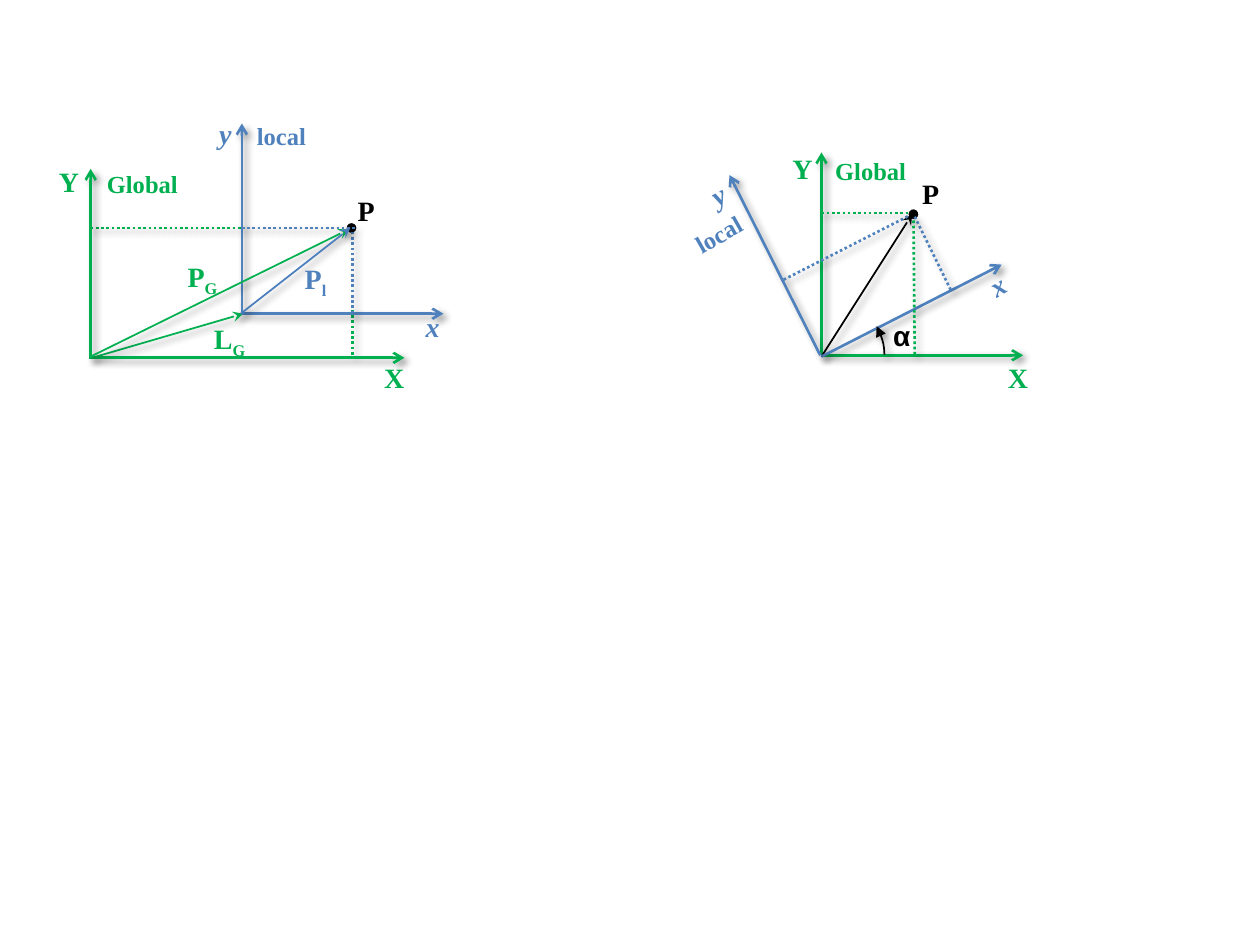
from lxml import etree
from pptx import Presentation
from pptx.dml.color import RGBColor
from pptx.enum.dml import MSO_LINE
from pptx.enum.shapes import MSO_CONNECTOR, MSO_SHAPE
from pptx.enum.text import MSO_AUTO_SIZE
from pptx.oxml import parse_xml
from pptx.oxml.ns import nsdecls, qn
from pptx.util import Inches, Pt

STRAIGHT = MSO_CONNECTOR.STRAIGHT
OVAL, ARC = MSO_SHAPE.OVAL, MSO_SHAPE.ARC
DOTS = MSO_LINE.ROUND_DOT
FIT = MSO_AUTO_SIZE.SHAPE_TO_FIT_TEXT

GREEN = RGBColor(0x00, 0xB0, 0x50)
BLUE = RGBColor(0x4F, 0x81, 0xBD)
VECTOR_BLUE = RGBColor(0x4B, 0x7E, 0xBC)
BLACK = RGBColor(0x00, 0x00, 0x00)
WHITE = RGBColor(0xFF, 0xFF, 0xFF)

SERIF, SANS = "Times New Roman", "Arial"
DOT_SIZE = 0.1
SHADOW = (
    f"<a:effectLst {nsdecls('a')}>"
    f'<a:outerShdw blurRad="{Pt(4)}" dist="{Pt(3)}" dir="2700000" rotWithShape="0">'
    '<a:srgbClr val="000000"><a:alpha val="40000"/></a:srgbClr>'
    "</a:outerShdw></a:effectLst>"
)


def style_stroke(item, color, width, end=None, arrow=None, dash=None):
    """Set line and shadow; end is headEnd or tailEnd, arrow its type."""
    item.line.color.rgb = color
    item.line.width = Pt(width)
    if dash:
        item.line.dash_style = dash
    properties = item._element.spPr
    if arrow:
        etree.SubElement(properties.find(qn("a:ln")), qn(f"a:{end}"), type=arrow)
    properties.append(parse_xml(SHADOW))


def add_line(page, box, start, finish, color, width=1.5, arrow=None, dash=None):
    left, top = box
    line = page.shapes.add_connector(
        STRAIGHT,
        Inches(left + start[0]), Inches(top + start[1]),
        Inches(left + finish[0]), Inches(top + finish[1]),
    )
    style_stroke(line, color, width, "tailEnd", arrow, dash)


def add_axis(page, box, start, finish, color):
    add_line(page, box, start, finish, color, arrow="arrow")


def add_vector(page, box, start, finish, color):
    add_line(page, box, start, finish, color, width=1, arrow="stealth")


def add_projection(page, box, start, finish, color):
    add_line(page, box, start, finish, color, dash=DOTS)


def add_point(page, box, x, y, rotation=0):
    left, top = box
    dot = page.shapes.add_shape(
        OVAL, Inches(left + x), Inches(top + y), Inches(DOT_SIZE), Inches(DOT_SIZE))
    dot.rotation = rotation
    dot.fill.solid()
    dot.fill.fore_color.rgb = BLACK
    dot.line.color.rgb = WHITE
    dot.line.width = Pt(1.5)
    dot.shadow.inherit = False


def add_angle(page, box, x, y, size):
    left, top = box
    arc = page.shapes.add_shape(
        ARC, Inches(left + x), Inches(top + y), Inches(size), Inches(size))
    arc.adjustments[0] = 198.71
    arc.adjustments[1] = 215
    arc.fill.background()
    style_stroke(arc, BLACK, 1, "headEnd", "triangle")


def add_label(page, box, at, text, color, subscript="", size=16,
              italic=False, rotation=0, font=SERIF):
    left, top = box
    x, y, width = at
    height = 0.37 if size == 16 else 0.34
    label = page.shapes.add_textbox(
        Inches(left + x), Inches(top + y), Inches(width), Inches(height))
    label.rotation = rotation
    frame = label.text_frame
    frame.word_wrap = False
    frame.auto_size = FIT
    para = frame.paragraphs[0]
    para.text = text
    if subscript:
        span = para.add_run()
        span.text = subscript
        span.font._element.set("baseline", "-25000")
    for span in para.runs:
        span.font.name = font
        span.font.size = Pt(size)
        span.font.bold = True
        if italic:
            span.font.italic = True
        span.font.color.rgb = color


def draw_translated_frames(page, left, top):
    box = (left, top)
    add_point(page, box, 2.44, 0.96)

    add_vector(page, box, (0.43, 2.04), (1.63, 1.69), GREEN)
    add_projection(page, box, (2.5, 1.66), (2.5, 2.03), GREEN)
    add_projection(page, box, (0.42, 1.01), (1.62, 1.01), GREEN)
    add_axis(page, box, (0.41, 2.04), (2.91, 2.04), GREEN)
    add_axis(page, box, (0.42, 2.04), (0.42, 0.54), GREEN)
    add_axis(page, box, (1.62, 1.69), (3.22, 1.69), BLUE)
    add_axis(page, box, (1.62, 1.68), (1.62, 0.18), BLUE)
    add_projection(page, box, (2.5, 1.04), (2.5, 1.69), BLUE)
    add_projection(page, box, (1.62, 1.01), (2.52, 1.01), BLUE)
    add_vector(page, box, (0.42, 2.03), (2.47, 1.02), GREEN)
    add_vector(page, box, (1.61, 1.69), (2.48, 1.01), VECTOR_BLUE)

    add_label(page, box, (1.34, 0.08, 0.3), "y", BLUE, italic=True)
    add_label(page, box, (2.98, 1.61, 0.31), "x", BLUE, italic=True)
    add_label(page, box, (0.07, 0.46, 0.36), "Y", GREEN)
    add_label(page, box, (2.65, 2.01, 0.36), "X", GREEN)
    add_label(page, box, (2.44, 0.69, 0.34), "P", BLACK)
    add_label(page, box, (1.09, 1.21, 0.45), "P", GREEN, "G")
    add_label(page, box, (2.02, 1.23, 0.38), "P", BLUE, "l")
    add_label(page, box, (1.3, 1.7, 0.47), "L", GREEN, "G")
    add_label(page, box, (0.45, 0.49, 0.77), "Global", GREEN, size=14)
    add_label(page, box, (1.64, 0.11, 0.59), "local", BLUE, size=14)


def draw_rotated_frames(page, left, top):
    box = (left, top)
    add_axis(page, box, (1.12, 1.72), (2.72, 1.72), GREEN)
    add_axis(page, box, (1.12, 1.71), (1.12, 0.11), GREEN)
    add_point(page, box, 1.8, 0.55, rotation=333.2)
    add_vector(page, box, (1.12, 1.73), (1.84, 0.6), BLACK)
    add_axis(page, box, (1.12, 1.73), (2.55, 1), BLUE)
    add_axis(page, box, (1.11, 1.72), (0.39, 0.29), BLUE)
    add_projection(page, box, (1.86, 0.62), (2.15, 1.21), BLUE)
    add_projection(page, box, (0.82, 1.12), (1.82, 0.61), BLUE)
    add_projection(page, box, (1.12, 0.59), (1.82, 0.59), GREEN)
    add_projection(page, box, (1.85, 0.65), (1.86, 1.72), GREEN)
    add_angle(page, box, 0.62, 1.23, 1)

    add_label(page, box, (0.79, 0.05, 0.36), "Y", GREEN)
    add_label(page, box, (2.5, 1.71, 0.36), "X", GREEN)
    add_label(page, box, (1.82, 0.25, 0.34), "P", BLACK)
    add_label(page, box, (2.36, 0.98, 0.31), "x", BLUE, italic=True, rotation=328.8)
    add_label(page, box, (0.15, 0.26, 0.3), "y", BLUE, italic=True, rotation=331.5)
    add_label(page, box, (1.59, 1.38, 0.34), "α", BLACK, font=SANS)
    add_label(page, box, (1.13, 0.09, 0.77), "Global", GREEN, size=14)
    add_label(page, box, (0.01, 0.59, 0.59), "local", BLUE, size=14, rotation=330.5)


def main():
    deck = Presentation()
    deck.slide_width, deck.slide_height = Inches(10), Inches(7.5)
    page = deck.slides.add_slide(deck.slide_layouts[6])
    draw_translated_frames(page, 0.3, 0.8)
    draw_rotated_frames(page, 5.4, 1.1)
    deck.save("out.pptx")


if __name__ == "__main__":
    main()
